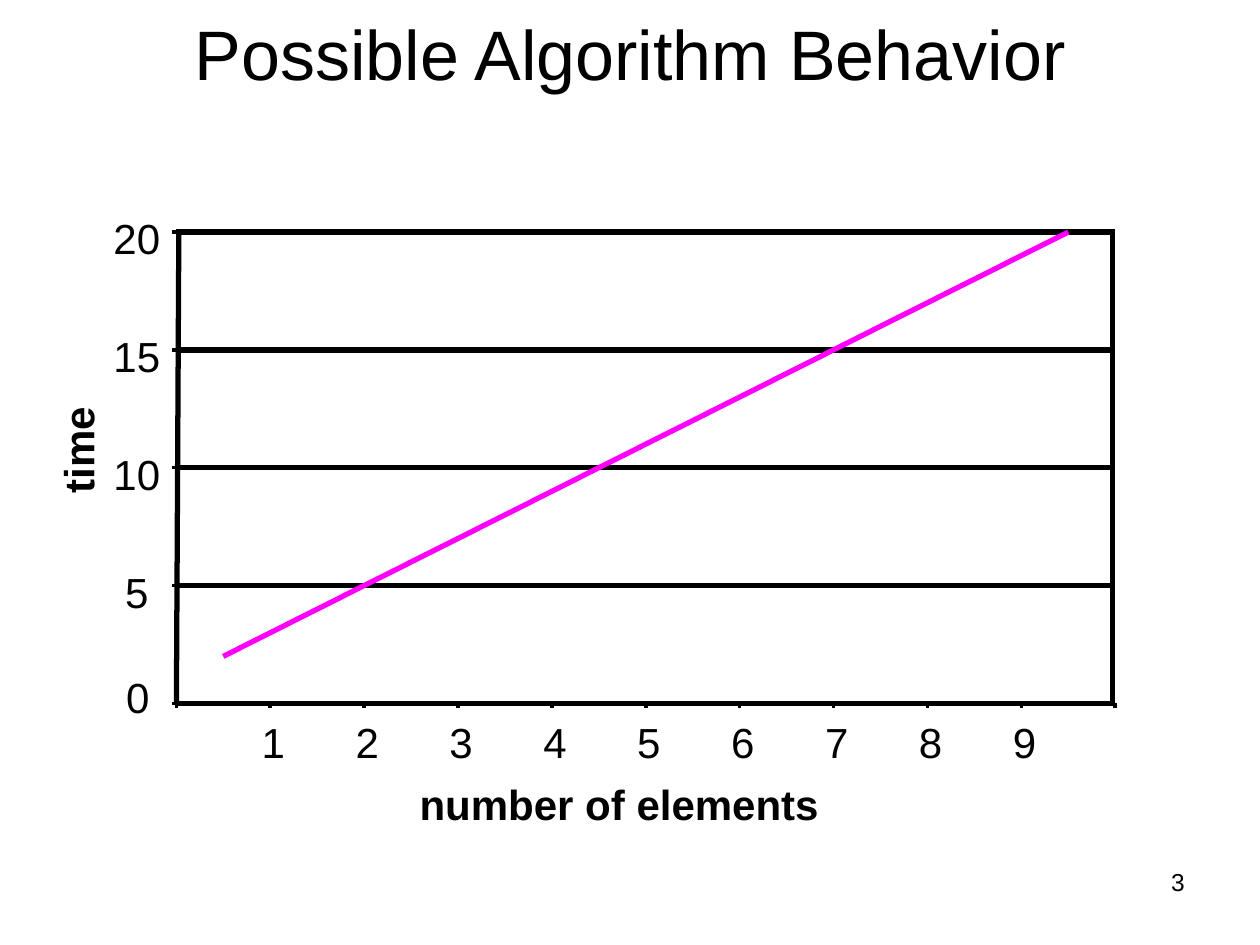
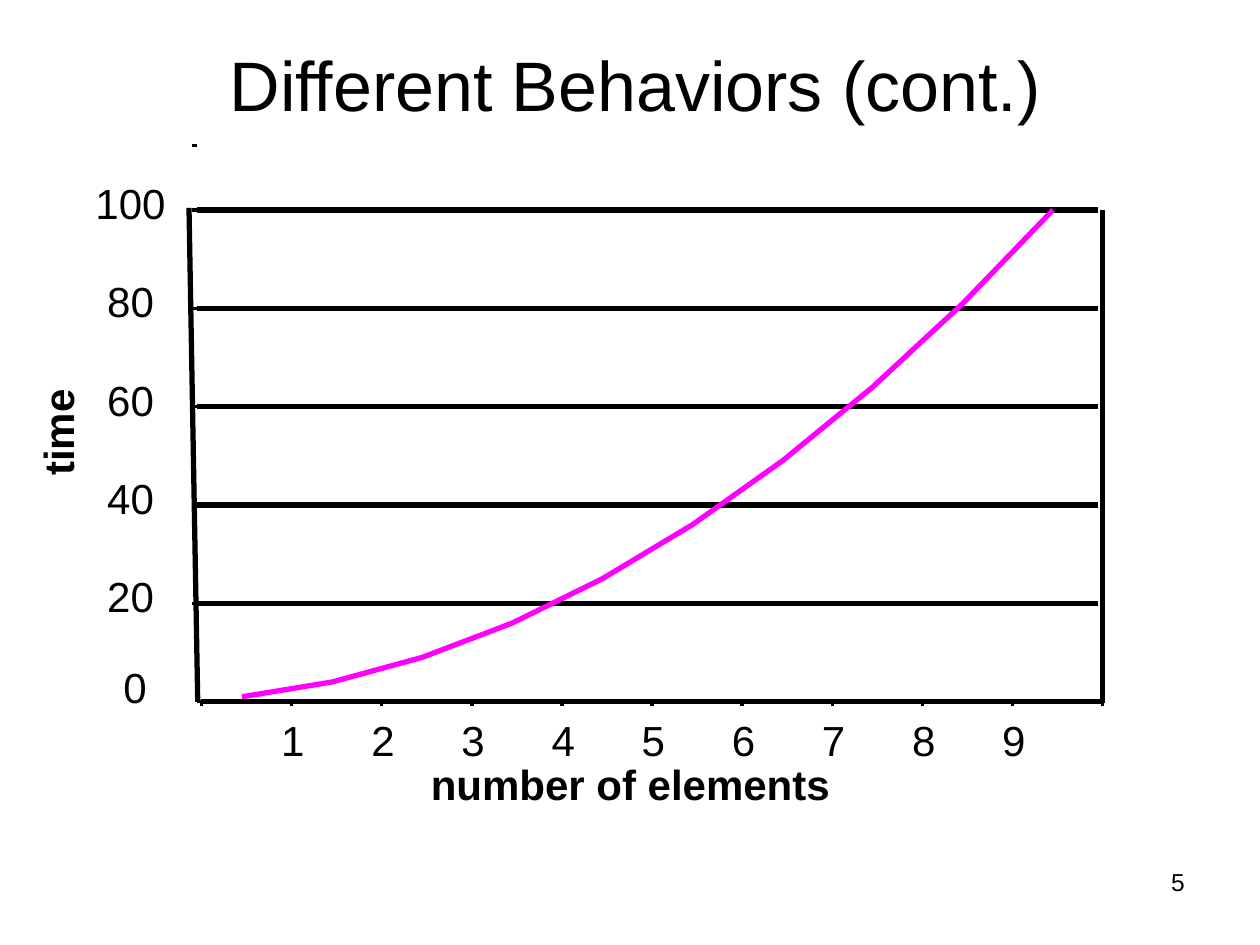
from pptx import Presentation
from pptx import util as u
from pptx.dml.color import RGBColor
from pptx.enum import shapes, text
from pptx.oxml.ns import qn

INK, CURVE, FONT = "000000", "FF00FF", "Arial"
X_TITLE, Y_TITLE = "number of elements", "time"
X_LABELS = [str(n) for n in range(1, 10)]
COLUMNS, DIGIT_W, LABEL_H = 10, 13.35, 28.8

GRAPHS = [
    dict(title="Possible Algorithm Behavior", number="3", title_box=(36, -12.2, 648, 84.2),
         values=[2 * n for n in range(1, 11)], y_labels=[0, 5, 10, 15, 20],
         left=100.8, width=536.5, base=402, unit=13.47, base_shift=0, extra_ticks=[],
         left_axis=(102.2, 131.8, 100.8, 402), right_axis=(635.8, 131.8, 635.8, 402),
         zero=(78.7, 383.8), y_center=78.2, y_rise=11.2, x_label=(1.8, 409.7),
         x_title=(239.8, 445), y_title=(19.4, 242.6)),
    dict(title="Different Behaviors (cont.)", number="5", title_box=(36, 5.8, 653.8, 84.2),
         values=[n * n for n in range(1, 11)], y_labels=[0, 20, 40, 60, 80, 100],
         left=112.5, width=515, base=401, unit=2.81, base_shift=2.6, extra_ticks=[83.2],
         left_axis=(108, 118.8, 113, 401), right_axis=(630, 120.2, 630, 401.8),
         zero=(77.2, 378), y_center=74.6, y_rise=18.6, x_label=(0.8, 408.2),
         x_title=(246.2, 433.4), y_title=(7.9, 232.6)),
]


def color(hex_string):
    return RGBColor.from_string(hex_string)


def add_line(s, x1, y1, x2, y2, width=3):
    c = s.shapes.add_connector(shapes.MSO_CONNECTOR.STRAIGHT,
                               u.Pt(x1), u.Pt(y1), u.Pt(x2), u.Pt(y2))
    c.line.color.rgb = color(INK)
    c.line.width = u.Pt(width)
    c._element.spPr.append(c._element.makeelement(qn("a:effectLst"), {}))


def add_text(s, words, box, size=24, bold=False, align="LEFT", inset=False, rotation=0):
    sp = s.shapes.add_textbox(*[u.Pt(v) for v in box])
    sp.rotation = rotation
    tf = sp.text_frame
    tf.word_wrap = inset
    if inset:
        tf.vertical_anchor = text.MSO_ANCHOR.MIDDLE if size == 40 else text.MSO_ANCHOR.TOP
    else:
        tf.margin_left = tf.margin_right = tf.margin_top = tf.margin_bottom = 0
    tf.text = words
    p = tf.paragraphs[0]
    p.alignment = getattr(text.PP_ALIGN, align)
    f = p.runs[0].font
    f.name, f.size, f.bold = FONT, u.Pt(size), bold
    f.color.rgb = color(INK)


def add_label(s, words, center, top):
    width = DIGIT_W * len(words)
    add_text(s, words, (center - width / 2, top, width, LABEL_H))


def add_axes(s, g):
    left, base, shift = g["left"], g["base"], g["base_shift"]
    right, step = left + g["width"], g["width"] / COLUMNS
    heights = [base - v * g["unit"] for v in g["y_labels"]]
    for y in heights[1:]:
        add_line(s, left, y, right, y)
    add_line(s, *g["left_axis"])
    add_line(s, left - 2.6 + shift, base, left + shift, base, 0)
    for y in heights[1:] + g["extra_ticks"]:
        add_line(s, left - 2.6, y, left, y, 0)
    add_line(s, left + shift, base, right + shift, base)
    for i in range(COLUMNS + 1):
        x = left + shift + i * step
        add_line(s, x, base + 2.6, x, base, 0)
    add_line(s, *g["right_axis"])

    add_label(s, str(g["y_labels"][0]), *g["zero"])
    for v, y in zip(g["y_labels"][1:], heights[1:]):
        add_label(s, str(v), g["y_center"], y - g["y_rise"])
    dx, top = g["x_label"]
    for i, words in enumerate(X_LABELS, 1):
        add_label(s, words, left + shift + i * step + dx, top)
    add_text(s, X_TITLE, (*g["x_title"], 228.2, LABEL_H), bold=True)
    add_text(s, Y_TITLE, (*g["y_title"], 49.7, LABEL_H), bold=True, rotation=270)


def add_curve(s, g):
    step = g["width"] / COLUMNS
    points = [(u.Pt(g["left"] + (i + 0.5) * step), u.Pt(g["base"] - v * g["unit"]))
              for i, v in enumerate(g["values"])]
    path = s.shapes.build_freeform(*points[0])
    path.add_line_segments(points[1:], close=False)
    sp = path.convert_to_shape()
    sp.shadow.inherit = False
    sp.fill.background()
    sp.line.color.rgb = color(CURVE)
    sp.line.width = u.Pt(3)


def main():
    prs = Presentation()
    prs.slide_width, prs.slide_height = u.Pt(720), u.Pt(540)
    for g in GRAPHS:
        s = prs.slides.add_slide(prs.slide_layouts[6])
        add_text(s, g["title"], g["title_box"], 40, align="CENTER", inset=True)
        add_axes(s, g)
        add_curve(s, g)
        add_text(s, g["number"], (516, 491.8, 168, 37.4), 14, align="RIGHT", inset=True)
    prs.save("out.pptx")


if __name__ == "__main__":
    main()
